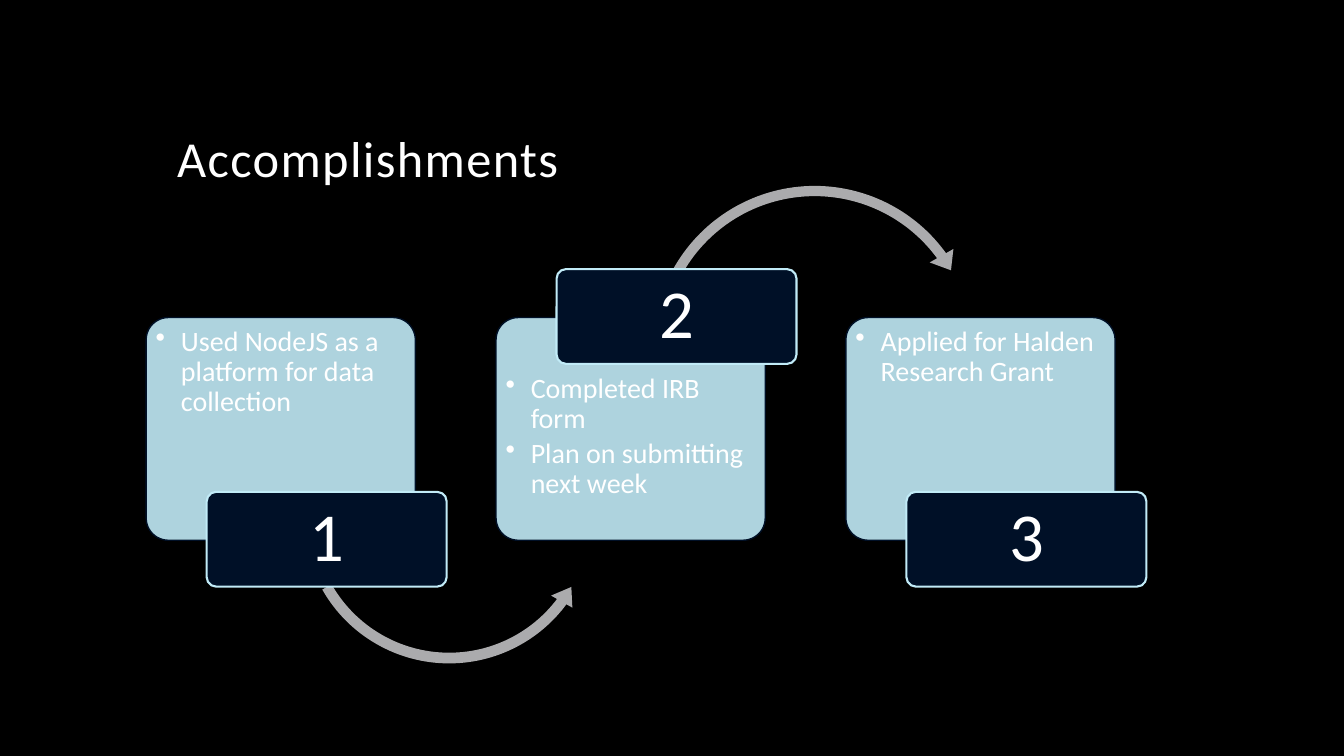
"""Build the Accomplishments slide: three numbered cards joined by curved arrows."""
from lxml.etree import SubElement
from pptx import Presentation
from pptx.dml.color import RGBColor
from pptx.enum.shapes import MSO_SHAPE
from pptx.enum.text import MSO_ANCHOR, PP_ALIGN
from pptx.oxml.ns import qn
from pptx.util import Emu, Pt

BLACK = RGBColor(0x00, 0x00, 0x00)
WHITE = RGBColor(0xFF, 0xFF, 0xFF)
PALE_BLUE = RGBColor(0xC1, 0xEB, 0xF7)
NAVY = RGBColor(0x00, 0x10, 0x27)
GREY = RGBColor(0xAB, 0xAB, 0xAD)

FONT = "Calibri"
CARD_LEFT, CARD_STEP, CARD_TOP = 145, 347, 315
BADGE_OFFSET, BADGE_HIGH, BADGE_LOW = 60, 267, 488

STEPS = [
    (["Used NodeJS as a platform for data collection"], BADGE_LOW, 3),
    (["Completed IRB form", "Plan on submitting next week"], BADGE_HIGH, 50),
    (["Applied for Halden Research Grant"], BADGE_LOW, 3),
]
ARROWS = [
    (MSO_SHAPE.LEFT_CIRCULAR_ARROW, 294, 362, 303,
     (0.035, 4.29, 22.05, 90.24, 0.04)),
    (MSO_SHAPE.CIRCULAR_ARROW, 639, 176, 338,
     (0.03, 3.81, 194.43, 125.76, 0.04)),
]


def px(length):
    """Turn px, at 100 to the inch, into EMU."""
    return Emu(length * 9144)


def add_filled(page, kind, left, top, width, height, fill, adjustments):
    """Add a preset shape with a plain fill and no outline or shadow."""
    shape = page.shapes.add_shape(kind, px(left), px(top), px(width), px(height))
    shape.shadow.inherit = False
    shape.fill.solid()
    shape.fill.fore_color.rgb = fill
    shape.line.fill.background()
    for index, value in enumerate(adjustments):
        shape.adjustments[index] = value
    return shape


def outline(shape, color, width):
    """Give a shape a solid outline."""
    shape.line.color.rgb = color
    shape.line.width = Pt(width)


def set_margins(frame, side, top, bottom):
    """Set the inner margins of a text frame."""
    frame.margin_left = frame.margin_right = px(side)
    frame.margin_top, frame.margin_bottom = px(top), px(bottom)


def write(para, text, size, align=PP_ALIGN.LEFT):
    """Write white text into a paragraph and return its run."""
    para.alignment = align
    para.line_spacing = 0.9
    para.font.name = FONT
    para.font.size = Pt(size)
    para.font.color.rgb = WHITE
    span = para.add_run()
    span.text = text
    return span


def add_bullet(para):
    """Give a paragraph a round bullet with a hanging indent."""
    properties = para._p.get_or_add_pPr()
    properties.set("marL", str(px(25)))
    properties.set("indent", str(px(-25)))
    bullet = properties.makeelement(qn("a:buChar"), {"char": "•"})
    properties.insert_element_before(bullet, "a:tabLst", "a:defRPr", "a:extLst")


def add_title(page, text):
    """Add the letter-spaced slide title."""
    box = page.shapes.add_textbox(px(166), px(42), px(1000), px(150))
    frame = box.text_frame
    frame.word_wrap = True
    frame.vertical_anchor = MSO_ANCHOR.BOTTOM
    span = write(frame.paragraphs[0], text, 36)
    span._r.get_or_add_rPr().set("spc", "100")


def add_card(page, left, items, text_top):
    """Add a translucent rounded card holding a bullet list."""
    card = add_filled(page, MSO_SHAPE.ROUNDED_RECTANGLE,
                      left, CARD_TOP, 267, 221, PALE_BLUE, [0.1])
    color = card._element.spPr.find(qn("a:solidFill")).find(qn("a:srgbClr"))
    SubElement(color, qn("a:alpha"), val="90000")
    outline(card, NAVY, 1)
    frame = card.text_frame
    frame.word_wrap = True
    frame.vertical_anchor = MSO_ANCHOR.TOP
    set_margins(frame, 3, text_top, 3)
    for index, item in enumerate(items):
        para = frame.add_paragraph() if index else frame.paragraphs[0]
        write(para, item, 20)
        para.space_after = Pt(3)
        add_bullet(para)


def add_badge(page, left, top, number):
    """Add a dark badge with a centred step number."""
    badge = add_filled(page, MSO_SHAPE.ROUNDED_RECTANGLE,
                       left, top, 238, 94, NAVY, [0.1])
    outline(badge, PALE_BLUE, 1.5)
    frame = badge.text_frame
    frame.vertical_anchor = MSO_ANCHOR.MIDDLE
    set_margins(frame, 10, 7, 7)
    write(frame.paragraphs[0], str(number), 49, PP_ALIGN.CENTER)


def main():
    """Build and save the deck."""
    deck = Presentation()
    deck.slide_width, deck.slide_height = px(1333), px(750)
    page = deck.slides.add_slide(deck.slide_layouts[6])
    page.background.fill.solid()
    page.background.fill.fore_color.rgb = BLACK

    add_title(page, "Accomplishments")
    for index, (items, badge_top, text_top) in enumerate(STEPS):
        left = CARD_LEFT + index * CARD_STEP
        add_card(page, left, items, text_top)
        if index < len(ARROWS):
            kind, arrow_left, arrow_top, size, adjustments = ARROWS[index]
            add_filled(page, kind, arrow_left, arrow_top, size, size,
                       GREY, adjustments)
        add_badge(page, left + BADGE_OFFSET, badge_top, index + 1)
    deck.save("out.pptx")


if __name__ == "__main__":
    main()
